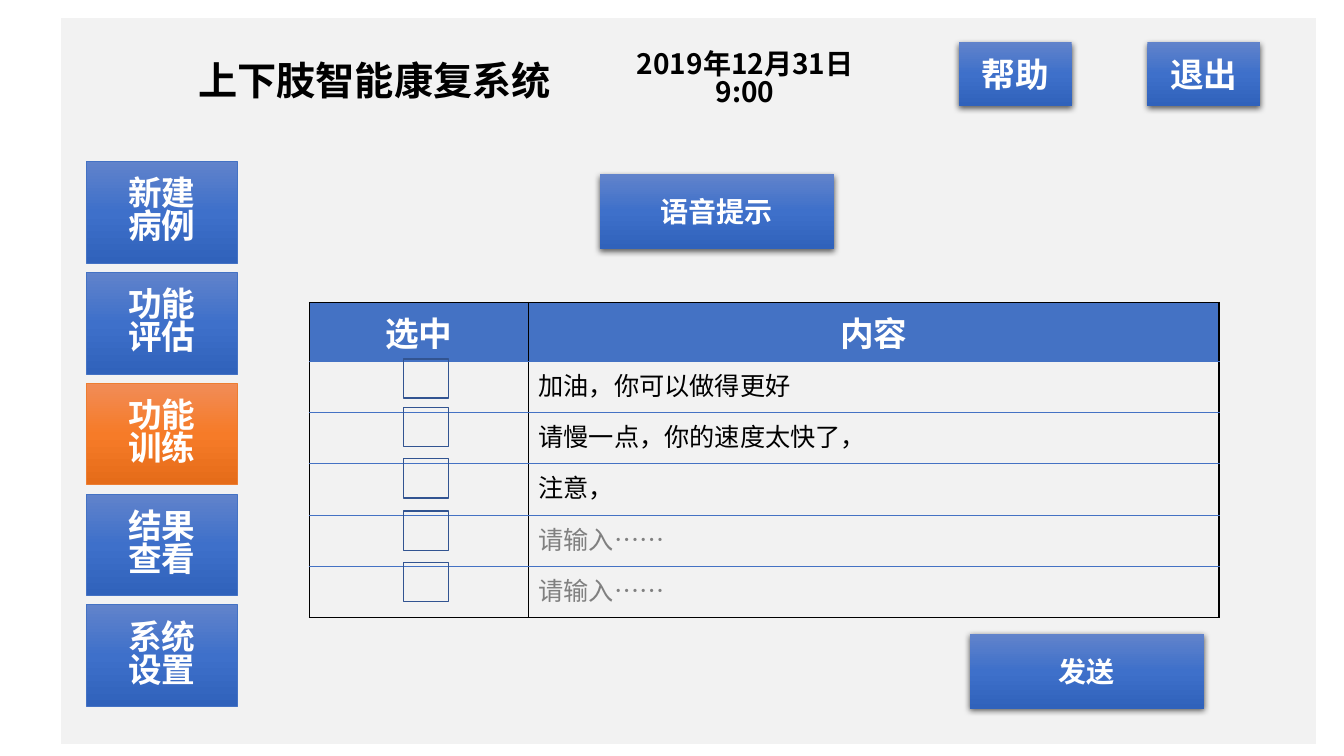
"""Build the voice prompt page of a limb rehabilitation system."""
from copy import deepcopy

from lxml.etree import SubElement
from pptx import Presentation
from pptx.dml.color import RGBColor
from pptx.enum.shapes import MSO_SHAPE
from pptx.enum.text import MSO_ANCHOR, PP_ALIGN
from pptx.oxml.ns import qn
from pptx.util import Inches, Pt

FONT = "Noto Sans CJK SC"
BLUE, BLACK, WHITE, GRAY = "4472C4", "000000", "FFFFFF", "808080"
BLUE_SHADES = ("6183CB", "3E70CA", "3062BB")
ORANGE_SHADES = ("F18C57", "F67B28", "E56C19")

TITLE = "上下肢智能康复系统"
CLOCK = "2019年12月31日 9:00"
MENU = [("新建", "病例"), ("功能", "评估"), ("功能", "训练"), ("结果", "查看"), ("系统", "设置")]
ACTIVE = 2
BUTTONS = [
    ("帮助", (9.51, 0.42, 1.12, 0.63), 24),
    ("退出", (11.38, 0.42, 1.12, 0.63), 24),
    ("语音提示", (5.95, 1.73, 2.32, 0.74), 20),
    ("发送", (9.62, 6.29, 2.32, 0.74), 20),
]
HEADINGS = ("选中", "内容")
PROMPTS = [
    ("加油，你可以做得更好", BLACK),
    ("请慢一点，你的速度太快了，", BLACK),
    ("注意，", BLACK),
    ("请输入……", GRAY),
    ("请输入……", GRAY),
]
COLUMNS = (2.17, 6.85)
HEADING_HEIGHT, ROW_HEIGHT = 0.58, 0.51
CHECKBOX_TOPS = (3.56, 4.04, 4.55, 5.07, 5.58)


def color(value):
    return RGBColor.from_string(value)


def write(frame, *lines, size=24, ink=WHITE, bold=True, align=PP_ALIGN.CENTER, spacing=None):
    frame.word_wrap = True
    for index, line in enumerate(lines):
        para = frame.add_paragraph() if index else frame.paragraphs[0]
        para.alignment = align
        para.line_spacing = spacing
        span = para.add_run()
        span.text = line
        span.font.size, span.font.bold, span.font.name = Pt(size), bold, FONT
        span.font.color.rgb = color(ink)
        SubElement(span.font._element, qn("a:ea"), typeface=FONT)


def add_box(place, line=None, width=1.0, fill=None, shades=None):
    box = page.shapes.add_shape(MSO_SHAPE.RECTANGLE, *map(Inches, place))
    box.shadow.inherit = False
    if shades:
        box.fill.gradient()
        stops = box._element.spPr.find(".//" + qn("a:gsLst"))
        stops.append(deepcopy(stops[0]))
        for stop, shade, position in zip(box.fill.gradient_stops, shades, (0, 0.5, 1)):
            stop.color.rgb, stop.position = color(shade), position
        box.fill.gradient_angle = 270
    elif fill:
        box.fill.solid()
        box.fill.fore_color.rgb = color(fill)
    else:
        box.fill.background()
    if line:
        box.line.color.rgb, box.line.width = color(line), Pt(width)
    else:
        box.line.fill.background()
    return box


def add_shadow(box):
    effects = box._element.spPr.find(qn("a:effectLst"))
    shadow = SubElement(effects, qn("a:outerShdw"), blurRad=str(Pt(4.5)), dist=str(Pt(1.5)),
                        dir="5400000", algn="ctr", rotWithShape="0")
    tint = SubElement(shadow, qn("a:srgbClr"), val=BLACK)
    SubElement(tint, qn("a:alpha"), val="63000")


def add_text(place, text, size, spacing=None):
    box = page.shapes.add_textbox(*map(Inches, place))
    box.text_frame.vertical_anchor = MSO_ANCHOR.MIDDLE
    write(box.text_frame, text, size=size, ink=BLACK, spacing=spacing)


def set_borders(cell, **edges):
    properties = cell._tc.get_or_add_tcPr()
    for side, (ink, width) in edges.items():
        line = SubElement(properties, qn("a:ln" + side), w=str(Pt(width)))
        SubElement(SubElement(line, qn("a:solidFill")), qn("a:srgbClr"), val=ink)


def add_prompt_table():
    last = len(PROMPTS)
    height = HEADING_HEIGHT + ROW_HEIGHT * last
    place = map(Inches, (3.07, 3, sum(COLUMNS), height))
    table = page.shapes.add_table(last + 1, len(COLUMNS), *place).table
    table.first_row = table.horz_banding = False
    for column, width in zip(table.columns, COLUMNS):
        column.width = Inches(width)
    outer, inner = (BLACK, 1), (BLUE, 0.5)
    for index, row in enumerate(table.rows):
        row.height = Inches(ROW_HEIGHT if index else HEADING_HEIGHT)
        for cell in row.cells:
            set_borders(cell, L=outer, R=outer, T=inner if index else outer,
                        B=outer if index == last else inner)
            if index:
                cell.fill.background()
            else:
                cell.fill.solid()
                cell.fill.fore_color.rgb = color(BLUE)
                cell.vertical_anchor = MSO_ANCHOR.MIDDLE
    for index, heading in enumerate(HEADINGS):
        write(table.cell(0, index).text_frame, heading)
    for index, (prompt, ink) in enumerate(PROMPTS, 1):
        write(table.cell(index, 1).text_frame, prompt, size=18, ink=ink,
              bold=False, align=PP_ALIGN.LEFT)


deck = Presentation()
deck.slide_width, deck.slide_height = Inches(13.33), Inches(7.5)
page = deck.slides.add_slide(deck.slide_layouts[6])

add_box((0.6, 0.17, 12.46, 7.22), line=WHITE, fill="F2F2F2")
add_text((1.81, 0.32, 3.81, 0.95), TITLE, 28)
add_text((5.95, 0.54, 2.88, 0.51), CLOCK, 20, spacing=0.83)

for index, lines in enumerate(MENU):
    active = index == ACTIVE
    item = add_box((0.86, 1.6 + 1.1 * index, 1.49, 1.01), line="ED7D31" if active else BLUE,
                   width=0.5, shades=ORANGE_SHADES if active else BLUE_SHADES)
    write(item.text_frame, *lines, spacing=0.83)

for label, place, size in BUTTONS:
    button = add_box(place, shades=BLUE_SHADES)
    add_shadow(button)
    write(button.text_frame, label, size=size)

add_prompt_table()
for top in CHECKBOX_TOPS:
    add_box((4, top, 0.45, 0.39), line="325491")

deck.save("out.pptx")
